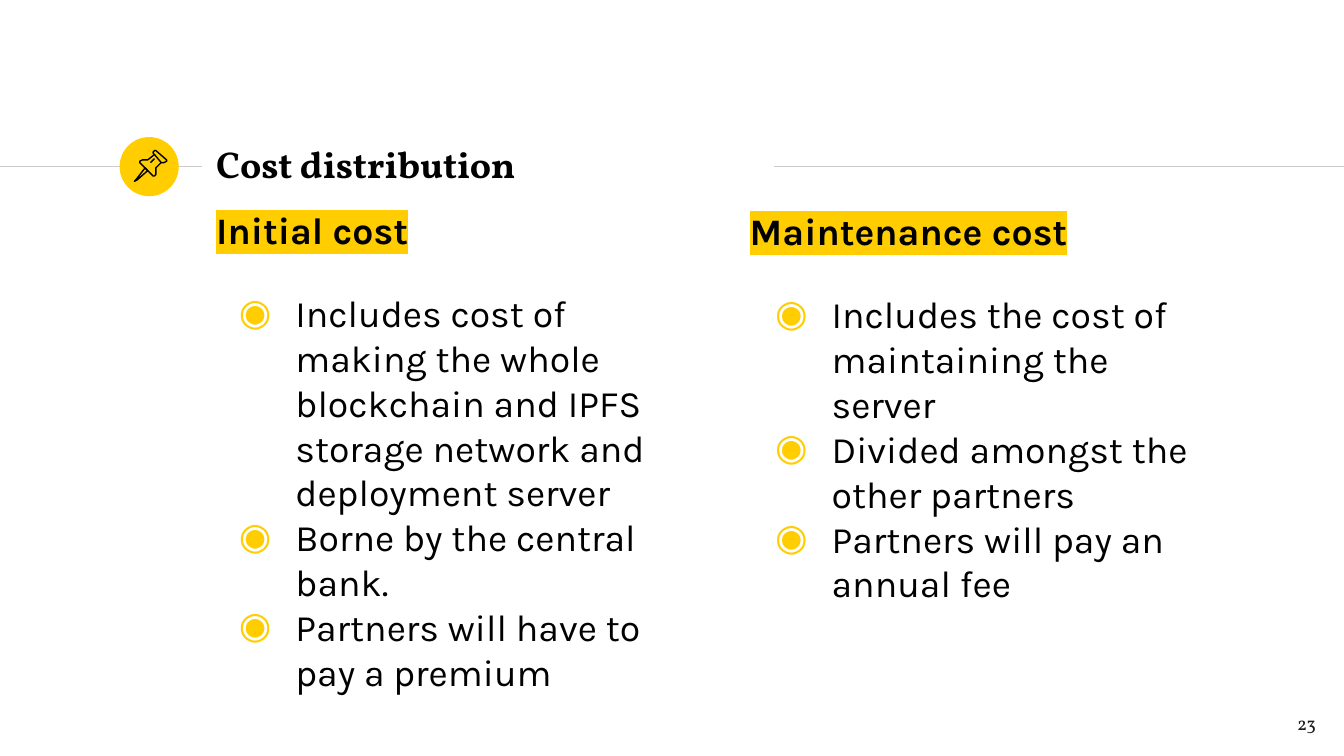
"""Build the cost distribution slide with its two bulleted columns."""
from lxml.etree import SubElement
from pptx import Presentation
from pptx.dml.color import RGBColor as RGB
from pptx.enum.shapes import MSO_CONNECTOR as CONN, MSO_SHAPE as SHAPE
from pptx.enum.text import MSO_ANCHOR as ANCHOR, PP_ALIGN as ALIGN
from pptx.oxml.ns import qn
from pptx.util import Inches, Pt

W = 10
H = W * 9 / 16
COLORS = {"accent": "FFCD00", "rule": "CCCCCC", "text": "000000", "number": "1D1D1B"}
TITLE, NUMBER = "Cost distribution", "23"
COLUMNS = [
    ("Initial cost", [
        "Includes cost of making the whole blockchain and IPFS storage network and deployment server",
        "Borne by the central bank.",
        "Partners will have to pay a premium"]),
    ("Maintenance cost", [
        "Includes the cost of maintaining the server",
        "Divided amongst the other partners",
        "Partners will pay an annual fee"]),
]
LEFT, TOP, COL_STEP, COL_DROP = 1.51, 1.44, 3.97, 0.01
BODY_LEFT, BODY_TOP, BODY_STEP = 1.6, 2.06, 3.99
RULE_Y, RULES = 1.24, [(0, 1.5), (5.76, W)]
BADGE_X, BADGE_SIZE = 0.89, 0.44
PIN = {
    "needle": ([(1.08, 1.25), (1.01, 1.34), (1, 1.35), (1.02, 1.34), (1.1, 1.27)], True),
    "head": ([(1.15, 1.15), (1.2, 1.21), (1.22, 1.21), (1.24, 1.2), (1.24, 1.19),
              (1.16, 1.12), (1.15, 1.12), (1.14, 1.13), (1.14, 1.14)], True),
    "body": ([(1.15, 1.15), (1.1, 1.19), (1.08, 1.19), (1.06, 1.19), (1.04, 1.2),
              (1.04, 1.21), (1.14, 1.31), (1.15, 1.31), (1.16, 1.3), (1.16, 1.28),
              (1.16, 1.25), (1.2, 1.21)], False),
    "shine": ([(1.12, 1.21), (1.15, 1.18)], False),
}


def color(name):
    return RGB.from_string(COLORS[name])


def add_color(parent, tag, name):
    SubElement(SubElement(parent, qn(tag)), qn("a:srgbClr"), val=COLORS[name])


def add_text(s, lines, x, y, w, h, font="Karla", size=20, ink="text", bold=False,
             highlight=None, bullet=None, align=ALIGN.LEFT, anchor=ANCHOR.TOP):
    tf = s.shapes.add_textbox(*map(Inches, (x, y, w, h))).text_frame
    tf.word_wrap, tf.vertical_anchor = True, anchor
    tf.margin_left = tf.margin_right = tf.margin_top = tf.margin_bottom = Inches(0.1)
    for i, line in enumerate(lines):
        p = tf.add_paragraph() if i else tf.paragraphs[0]
        p.alignment = align
        if bullet:
            pPr = p._p.get_or_add_pPr()
            pPr.set("marL", str(Inches(0.5)))
            pPr.set("indent", str(Inches(-0.42)))
            add_color(pPr, "a:buClr", "accent")
            SubElement(pPr, qn("a:buFont"), typeface=font)
            SubElement(pPr, qn("a:buChar"), char=bullet)
        r = p.add_run()
        r.text = line
        r.font.size, r.font.bold = Pt(size), bold
        r.font.color.rgb = color(ink)
        if highlight:
            add_color(r._r.get_or_add_rPr(), "a:highlight", highlight)
        r.font.name = font


def add_rule(s, x1, x2):
    sp = s.shapes.add_connector(CONN.STRAIGHT, *map(Inches, (x1, RULE_Y, x2, RULE_Y)))
    sp.line.color.rgb, sp.line.width = color("rule"), Pt(0.75)
    SubElement(sp._element.spPr, qn("a:effectLst"))


def add_badge(s):
    box = (BADGE_X, RULE_Y - BADGE_SIZE / 2, BADGE_SIZE, BADGE_SIZE)
    sp = s.shapes.add_shape(SHAPE.OVAL, *map(Inches, box))
    sp.shadow.inherit = False
    sp.fill.solid()
    sp.fill.fore_color.rgb = color("accent")
    sp.line.fill.background()


def add_outline(s, points, closed):
    start, *rest = [(Inches(x), Inches(y)) for x, y in points]
    builder = s.shapes.build_freeform(*start)
    builder.add_line_segments(rest, close=closed)
    sp = builder.convert_to_shape()
    sp.shadow.inherit = False
    sp.fill.background()
    sp.line.color.rgb, sp.line.width = color("text"), Pt(0.75)


def main():
    prs = Presentation()
    prs.slide_width, prs.slide_height = Inches(W), Inches(H)
    s = prs.slides.add_slide(prs.slide_layouts[6])
    for x1, x2 in RULES:
        add_rule(s, x1, x2)
    add_badge(s)
    for points, closed in PIN.values():
        add_outline(s, points, closed)
    add_text(s, [TITLE], LEFT, 0.98, 4.24, 0.48, font="Vollkorn", bold=True,
             anchor=ANCHOR.MIDDLE)
    for i, (heading, items) in enumerate(COLUMNS):
        drop = i * COL_DROP
        add_text(s, [heading], LEFT + i * COL_STEP, TOP + drop, 3.75, 0.53,
                 bold=True, highlight="accent")
        add_text(s, items, BODY_LEFT + i * BODY_STEP, BODY_TOP + drop, 3.4,
                 3.29 - i * 0.83, bullet="◉")
    add_text(s, [NUMBER], 9.29, 5.21, 0.6, 0.41, font="Vollkorn", size=10,
             ink="number", align=ALIGN.RIGHT)
    prs.save("out.pptx")


if __name__ == "__main__":
    main()
